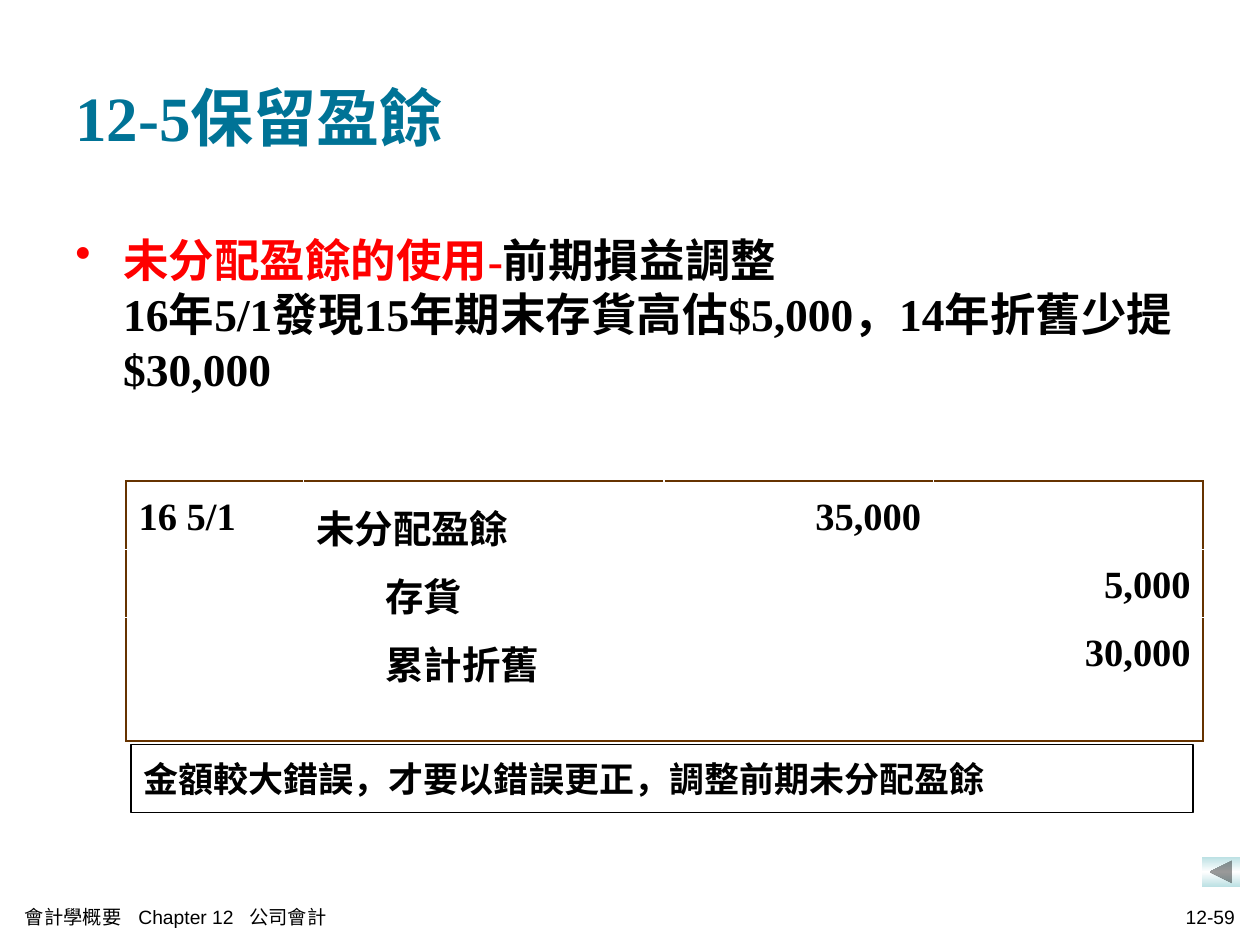
import copy
from dataclasses import dataclass

import pptx
import pptx.dml.color
import pptx.enum.shapes
import pptx.enum.text
import pptx.oxml.ns
import pptx.oxml.xmlchemy
import pptx.util
from lxml import etree
from pptx.util import Inches

ALIGN = pptx.enum.text.PP_ALIGN
ANCHOR = pptx.enum.text.MSO_ANCHOR
SHAPE = pptx.enum.shapes.MSO_SHAPE
qn = pptx.oxml.ns.qn


@dataclass(frozen=True)
class Theme:
    serif: str = "Times New Roman"
    sans: str = "Arial"
    cjk: str = "Noto Sans CJK SC"
    title: str = "007396"
    accent: str = "FF0000"
    ink: str = "000000"
    paper: str = "FFFFFF"
    border: str = "663300"
    button: str = "BBE0E3"
    title_size: float = 36
    body_size: float = 26
    entry_size: float = 22
    note_size: float = 20
    footer_size: float = 11


THEME = Theme()


def rgb(color):
    return pptx.dml.color.RGBColor.from_string(color)


def style_font(font, size, color=THEME.ink, name=THEME.serif, bold=True):
    font.size = pptx.util.Pt(size)
    font.color.rgb = rgb(color)
    font.name = name
    font.bold = bold


def add_span(para, text):
    """Add a run whose Chinese characters use the theme's CJK face."""
    span = para.add_run()
    span.text = text
    east_asian = etree.SubElement(span.font._element, qn("a:ea"))
    east_asian.set("typeface", THEME.cjk)
    return span


def add_box(page, left, top, width, height, anchor):
    box = page.shapes.add_textbox(left, top, width, height)
    box.text_frame.word_wrap = True
    box.text_frame.vertical_anchor = anchor
    return box.text_frame


def add_title(page, left, top, width, height):
    para = add_box(page, left, top, width, height, ANCHOR.MIDDLE).paragraphs[0]
    add_span(para, "12-5保留盈餘")
    style_font(para.font, THEME.title_size, THEME.title)


def add_body(page, left, top, width, height):
    frame = add_box(page, left, top, width, height, ANCHOR.TOP)
    topic, example = frame.paragraphs[0], frame.add_paragraph()
    for para, indent in ((topic, Inches(-0.38)), (example, 0)):
        props = para._p.get_or_add_pPr()
        props.set("marL", str(Inches(0.38)))
        props.set("indent", str(indent))
    props = topic._p.get_or_add_pPr()
    bullet_color = etree.SubElement(props, qn("a:buClr"))
    etree.SubElement(bullet_color, qn("a:srgbClr")).set("val", THEME.accent)
    etree.SubElement(props, qn("a:buChar")).set("char", "•")

    for para, text, color in (
        (topic, "未分配盈餘的使用-", THEME.accent),
        (topic, "前期損益調整", THEME.ink),
        (example, "16年5/1發現15年期末存貨高估$5,000，14年折舊少提$30,000", THEME.ink),
    ):
        style_font(add_span(para, text).font, THEME.body_size, color)


def set_border(cell, side):
    line = etree.SubElement(cell._tc.get_or_add_tcPr(), qn(f"a:ln{side}"))
    line.set("w", str(pptx.util.Pt(1.08)))
    fill = etree.SubElement(line, qn("a:solidFill"))
    etree.SubElement(fill, qn("a:srgbClr")).set("val", THEME.border)


def add_journal_entry(page, left, top, width, height):
    entries = [
        ["16 5/1", "未分配盈餘", "35,000", ""],
        ["", "存貨", "", "5,000"],
        ["", "累計折舊", "", "30,000"],
    ]
    table = page.shapes.add_table(3, 4, left, top, width, height).table
    table.first_row = table.horz_banding = False
    for column, size in zip(table.columns, (1.41, 2.86, 2.14, 2.14)):
        column.width = Inches(size)
    for row, size in zip(table.rows, (0.54, 0.54, 0.98)):
        row.height = Inches(size)

    for r, entry in enumerate(entries):
        for c, text in enumerate(entry):
            cell = table.cell(r, c)
            outer = {"L": c == 0, "R": c == 3, "T": r == 0, "B": r == 2}
            for side, on_edge in outer.items():
                if on_edge:
                    set_border(cell, side)
            cell.fill.background()
            if not text:
                continue
            is_credit_account = c == 1 and r > 0
            cell.margin_left = Inches(0.65 if is_credit_account else 0.1)
            para = cell.text_frame.paragraphs[0]
            para.alignment = ALIGN.RIGHT if c >= 2 else ALIGN.LEFT
            para.line_spacing = 1.2
            add_span(para, text)
            style_font(para.font, THEME.entry_size)


def add_note(page, left, top, width, height):
    box = page.shapes.add_shape(SHAPE.RECTANGLE, left, top, width, height)
    box.shadow.inherit = False
    box.fill.solid()
    box.fill.fore_color.rgb = rgb(THEME.paper)
    box.line.color.rgb = rgb(THEME.ink)
    box.line.width = pptx.util.Pt(0.75)
    box.text_frame.word_wrap = True
    box.text_frame.vertical_anchor = ANCHOR.MIDDLE
    para = box.text_frame.paragraphs[0]
    para.alignment = ALIGN.LEFT
    add_span(para, "金額較大錯誤，才要以錯誤更正，調整前期未分配盈餘")
    style_font(para.font, THEME.note_size, name=THEME.cjk)


def add_back_button(page, left, top, width, height):
    button = page.shapes.add_shape(
        SHAPE.ACTION_BUTTON_BACK_OR_PREVIOUS, left, top, width, height)
    button.shadow.inherit = False
    button.line.fill.background()
    button.fill.gradient()
    button.fill.gradient_angle = 90
    first = next(button._element.spPr.iter(qn("a:gs")))
    first.addnext(copy.deepcopy(first))
    colors = (THEME.button, THEME.paper, THEME.button)
    for stop, position, color in zip(button.fill.gradient_stops, (0, 0.5, 1), colors):
        stop.position = position
        stop.color.rgb = rgb(color)


def add_footer(page, left, top, width, height):
    number_width = Inches(3.13)
    number_left = left + width - number_width
    for x, box_width, text, alignment in (
        (left, Inches(5.1), "會計學概要\tChapter 12\t公司會計", ALIGN.LEFT),
        (number_left, number_width, "12-59", ALIGN.RIGHT),
    ):
        para = add_box(page, x, top, box_width, height, ANCHOR.MIDDLE).paragraphs[0]
        para.alignment = alignment
        if "\t" in text:
            stops = etree.SubElement(para._p.get_or_add_pPr(), qn("a:tabLst"))
            for position in (0.9, 1.78):
                stop = etree.SubElement(stops, qn("a:tab"))
                stop.set("pos", str(Inches(position)))
                stop.set("algn", "l")
        add_span(para, text)
        style_font(para.font, THEME.footer_size, name=THEME.sans, bold=False)


def main():
    deck = pptx.Presentation()
    deck.slide_width, deck.slide_height = Inches(10), Inches(7.5)
    page = deck.slides.add_slide(deck.slide_layouts[6])
    add_title(page, Inches(0.5), Inches(0.3), Inches(9), Inches(1.25))
    add_body(page, Inches(0.5), Inches(1.79), Inches(9), Inches(4.91))
    add_journal_entry(page, Inches(1), Inches(3.82), Inches(8.55), Inches(2.06))
    add_note(page, Inches(1.04), Inches(5.91), Inches(8.43), Inches(0.54))
    add_back_button(page, Inches(9.54), Inches(6.8), Inches(0.3), Inches(0.24))
    add_footer(page, Inches(0.1), Inches(7.11), Inches(9.8), Inches(0.33))
    deck.save("out.pptx")


if __name__ == "__main__":
    main()
